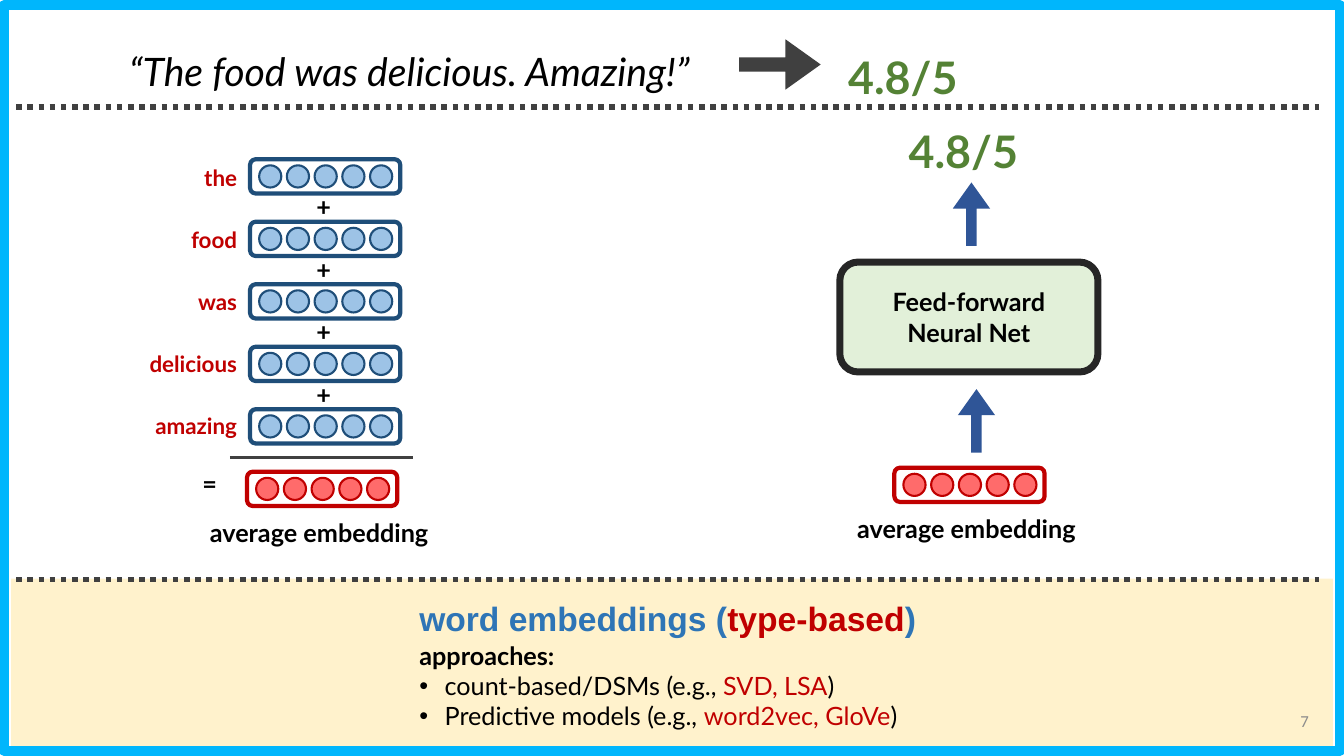
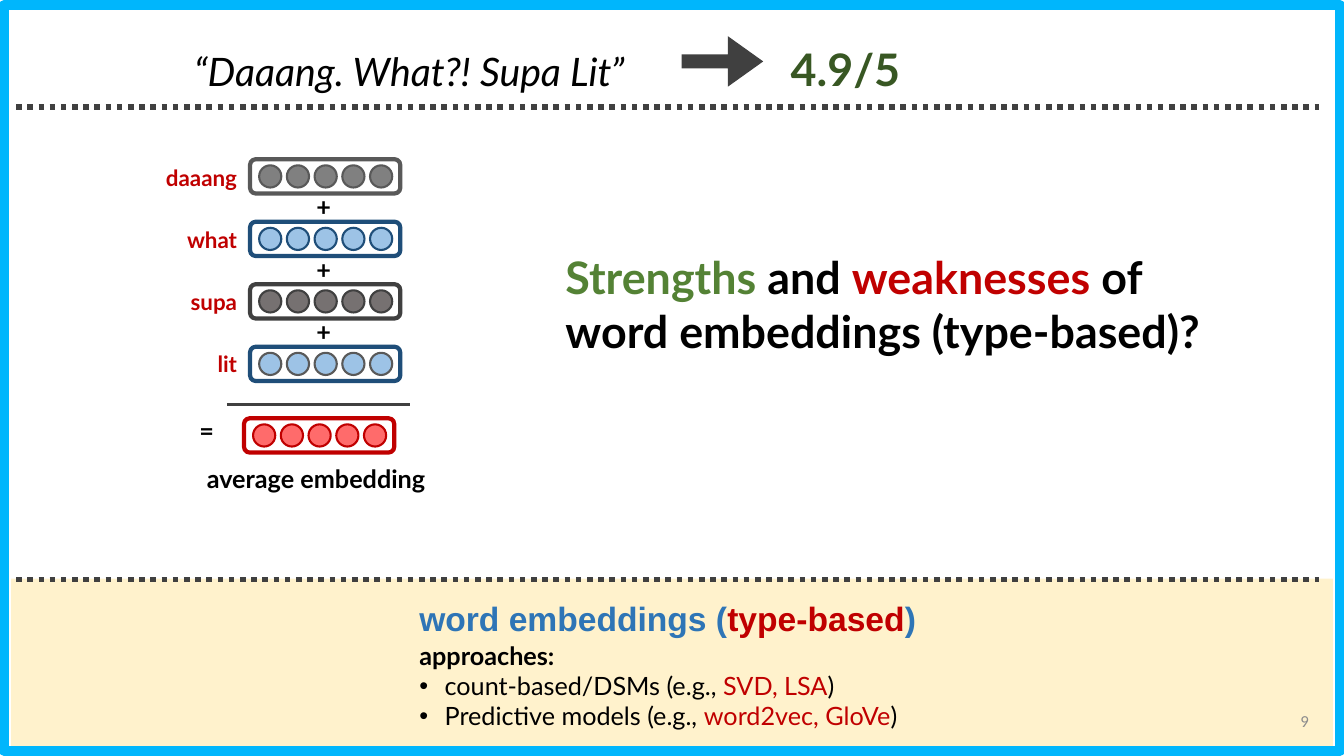
"""Build two slides on type-based word embeddings."""
from dataclasses import dataclass, field
from typing import Any, NamedTuple

from lxml.etree import SubElement as Sub
from pptx import Presentation
from pptx.dml.color import RGBColor as RGB
from pptx.enum.dml import MSO_LINE as Dash
from pptx.enum.shapes import MSO_CONNECTOR as Conn, MSO_SHAPE as Geo
from pptx.enum.text import MSO_ANCHOR as Anchor, MSO_AUTO_SIZE as Fit, PP_ALIGN as Align
from pptx.oxml.ns import qn
from pptx.util import Inches, Pt

WHITE = RGB(0xFF, 0xFF, 0xFF)
BLACK = RGB(0x00, 0x00, 0x00)
CYAN = RGB(0x00, 0xB6, 0xFC)
CREAM = RGB(0xFF, 0xF2, 0xCC)
RED = RGB(0xC0, 0x00, 0x00)
CORAL = RGB(0xFF, 0x6B, 0x6B)
NAVY = RGB(0x1F, 0x4E, 0x79)
SKY = RGB(0x9D, 0xC3, 0xE6)
BLUE = RGB(0x2E, 0x75, 0xB6)
ROYAL = RGB(0x2F, 0x55, 0x97)
GREEN = RGB(0x54, 0x82, 0x35)
FOREST = RGB(0x38, 0x57, 0x23)
MINT = RGB(0xE2, 0xF0, 0xD9)
INK = RGB(0x26, 0x26, 0x26)
DARK = RGB(0x40, 0x40, 0x40)
SLATE = RGB(0x59, 0x59, 0x59)
STONE = RGB(0x76, 0x71, 0x71)
GRAY = RGB(0x80, 0x80, 0x80)
PALE = RGB(0x8C, 0x8C, 0x8C)

Box = tuple[float, float, float, float]
Spot = tuple[float, float]
Style = dict[str, Any]


class Run(NamedTuple):
    text: str
    color: RGB = BLACK


class Tone(NamedTuple):
    fill: RGB
    edge: RGB
    frame: RGB


class Word(NamedTuple):
    text: str
    tone: Tone


@dataclass
class Para:
    runs: list[Run]
    font: Style
    form: Style = field(default_factory=dict)
    bullet: bool = False


@dataclass
class Review:
    quote: str
    page: str
    score: Run
    mark: Spot
    arrow: Spot
    words: list[Word]
    shift: Spot


KNOWN = Tone(SKY, NAVY, NAVY)
MEAN = Tone(CORAL, RED, RED)

BOLD: Style = {"name": "Lato", "size": Pt(18), "bold": True}
PLAIN: Style = BOLD | {"bold": False}
LABEL: Style = BOLD | {"size": Pt(16)}
BIG: Style = BOLD | {"size": Pt(32)}
QUOTE: Style = {"name": "Lato", "size": Pt(28), "bold": False, "italic": True}
HEAD: Style = {"name": "Arial", "size": Pt(24), "bold": True}
PAGE: Style = {"name": "Calibri", "size": Pt(12)}

MID: Style = {"alignment": Align.CENTER}
RIGHT: Style = {"alignment": Align.RIGHT}
LOOSE: Style = MID | {"line_spacing": 1.5, "space_before": Pt(10)}
TIGHT: Style = {"space_before": Pt(0)}

TOP, PITCH = 1.58, 0.62
REVIEWS = [
    Review("“The food was delicious. Amazing!”", "7", Run("4.8/5", GREEN), (8.01, 0.18), (7.33, 0.39),
           [Word(t, KNOWN) for t in ("the", "food", "was", "delicious", "amazing")], (0, 0)),
    Review("“Daaang. What?! Supa Lit”", "9", Run("4.9/5", FOREST), (7.44, 0.1), (6.76, 0.36),
           [Word("daaang", Tone(GRAY, SLATE, SLATE)), Word("what", KNOWN),
            Word("supa", Tone(STONE, DARK, DARK)), Word("lit", Tone(SKY, SLATE, NAVY))],
           (-0.03, -0.53)),
]


def apply(item: Any, style: Style) -> None:
    """Set every attribute named in the style."""
    for key, val in style.items():
        setattr(item, key, val)


def write(shape: Any, paras: list[Para], **style: Any) -> None:
    """Fill a shape with formatted paragraphs."""
    frame = shape.text_frame
    apply(frame, {"word_wrap": True, "auto_size": Fit.NONE, "vertical_anchor": Anchor.TOP} | style)
    for num, para in enumerate(paras):
        line = frame.add_paragraph() if num else frame.paragraphs[0]
        apply(line, para.form)
        if shape.is_placeholder:
            props = line._p.get_or_add_pPr()
            pad = Inches(0.25) if para.bullet else 0
            props.set("marL", str(pad))
            props.set("indent", str(-pad))
            if para.bullet:
                Sub(props, qn("a:buChar")).set("char", "•")
            else:
                Sub(props, qn("a:buNone"))
        for part in para.runs:
            run = line.add_run()
            run.text = part.text
            apply(run.font, para.font)
            run.font.color.rgb = part.color


def place(shape: Any, box: Box) -> None:
    """Move a shape to a box in inches."""
    apply(shape, dict(zip(("left", "top", "width", "height"), map(Inches, box))))


def text(slide: Any, box: Box, paras: list[Para], **style: Any) -> None:
    """Add a text box."""
    write(slide.shapes.add_textbox(*map(Inches, box)), paras, **style)


def form(shapes: Any, geo: Geo, box: Box, fill: RGB | None, edge: RGB | None = None, width: float = 0) -> Any:
    """Add a flat preset shape."""
    shape = shapes.add_shape(geo, *map(Inches, box))
    shape.shadow.inherit = False
    if fill is None:
        shape.fill.background()
    else:
        shape.fill.solid()
        shape.fill.fore_color.rgb = fill
    if edge is None:
        shape.line.fill.background()
    else:
        shape.line.color.rgb = edge
        shape.line.width = Pt(width)
    return shape


def rule(slide: Any, left: float, right: float, top: float, width: float, dash: Dash | None = None) -> None:
    """Add a level dark line."""
    line = slide.shapes.add_connector(Conn.STRAIGHT, *map(Inches, (left, top, right, top)))
    line.line.color.rgb = DARK
    apply(line.line, {"width": Pt(width), "dash_style": dash})
    Sub(line.element.spPr, qn("a:effectLst"))


def arrow(slide: Any, box: Box, fill: RGB, turn: int = 0) -> None:
    """Add a block arrow."""
    shape = form(slide.shapes, Geo.RIGHT_ARROW, box, fill)
    shape.rotation = turn
    for num, val in enumerate((0.28, 0.7)):
        shape.adjustments[num] = val


def vector(slide: Any, left: float, top: float, tone: Tone) -> None:
    """Add a grouped frame of five dots."""
    group = slide.shapes.add_group_shape().shapes
    form(group, Geo.ROUNDED_RECTANGLE, (left, top, 1.49, 0.34), None, tone.frame, 3)
    for num in range(5):
        box = (left + 0.09 + 1.1 * num / 4, top + 0.06, 0.22, 0.22)
        form(group, Geo.OVAL, box, tone.fill, tone.edge, 1.5)


def sign(slide: Any, left: float, top: float, mark: str) -> None:
    """Add a plus or equals sign."""
    text(slide, (left, top, 0.37, 0.4), [Para([Run(mark)], BOLD)], word_wrap=False)


def mean(slide: Any, left: float, top: float) -> None:
    """Add the average vector with its caption."""
    vector(slide, left, top, MEAN)
    caption = Para([Run("average embedding")], BOLD, MID)
    text(slide, (left - 0.66, top + 0.4, 2.75, 0.4), [caption])


def score(slide: Any, spot: Spot, run: Run) -> None:
    """Add a rating."""
    text(slide, (*spot, 1.89, 0.76), [Para([run], BIG, LOOSE)])


def stack(slide: Any, review: Review) -> None:
    """Add the word vectors and their average."""
    for num, word in enumerate(review.words):
        top = TOP + PITCH * num
        vector(slide, 2.48, top, word.tone)
        if num:
            sign(slide, 3.04, top - 0.35, "+")
    names = [Para([Run(w.text, RED)], LABEL, RIGHT | {"space_before": Pt(25)}) for w in review.words]
    text(slide, (1.13, TOP, 1.32, 3.08), names)
    dx, dy = review.shift
    sign(slide, 1.91 + dx, 4.6 + dy, "=")
    rule(slide, 2.28 + dx, 4.1 + dx, 4.54 + dy, 2.25)
    mean(slide, 2.45 + dx, 4.68 + dy)


def common(slide: Any, master: Any) -> None:
    """Draw the frame, band and dotted rules onto the master."""
    form(slide.shapes, Geo.RECTANGLE, (0.04, 0.05, 13.25, 7.4), WHITE, CYAN, 7)
    form(slide.shapes, Geo.RECTANGLE, (0.11, 5.74, 13.11, 1.66), CREAM)
    for top in (1.06, 5.75):
        rule(slide, 0.16, 13.08, top, 4, Dash.ROUND_DOT)
    tree = master.shapes.element
    drawn = [s.element for s in slide.shapes if not s.is_placeholder]
    for num, item in enumerate(drawn):
        item.find(".//" + qn("p:cNvPr")).set("id", str(50 + num))
        tree.insert(2 + num, item)


def base(slide: Any, review: Review) -> None:
    """Fill the parts that every slide has."""
    title, body = slide.shapes.title, slide.placeholders[1]
    place(title, (0.71, 0.19, 6.7, 0.99))
    write(title, [Para([Run(review.quote)], QUOTE, LOOSE)])
    place(body, (4.06, 6.3, 5.22, 1.04))
    items = (("count-based/DSMs (e.g., ", "SVD, LSA"), ("Predictive models (e.g., ", "word2vec, GloVe"))
    write(body, [Para([Run("approaches:")], BOLD, TIGHT)] + [
        Para([Run(lead), Run(names, RED), Run(")")], PLAIN, TIGHT, True) for lead, names in items])
    head = [Run("word embeddings (", BLUE), Run("type-based", RED), Run(")", BLUE)]
    text(slide, (4.06, 5.88, 6.52, 0.63), [Para(head, HEAD, {"space_before": Pt(5)})])
    text(slide, (10.08, 6.95, 3, 0.4), [Para([Run(review.page, PALE)], PAGE, RIGHT)],
         vertical_anchor=Anchor.MIDDLE)
    arrow(slide, (*review.arrow, 0.81, 0.5), DARK)
    score(slide, review.mark, review.score)
    stack(slide, review)


def network(slide: Any, result: Run) -> None:
    """Add the path from average embedding to rating."""
    mean(slide, 8.87, 4.64)
    for left, top in ((9.37, 3.99), (9.32, 1.94)):
        arrow(slide, (left, top, 0.63, 0.37), ROYAL, 270)
    net = form(slide.shapes, Geo.ROUNDED_RECTANGLE, (8.33, 2.6, 2.56, 1.09), MINT, INK, 5)
    write(net, [Para([Run(t)], BOLD, MID) for t in ("Feed-forward", "Neural Net")],
          vertical_anchor=Anchor.MIDDLE)
    score(slide, (8.61, 0.91), result)


def ask(slide: Any) -> None:
    """Add the closing question."""
    runs = [Run("Strengths ", GREEN), Run("and "), Run("weaknesses", RED),
            Run(" of word embeddings (type-based)?")]
    text(slide, (5.51, 2.43, 6.7, 0.99), [Para(runs, BIG, {"space_before": Pt(20)})])


def main() -> None:
    """Build and save the slides."""
    deck = Presentation()
    apply(deck, {"slide_width": Inches(13.33), "slide_height": Inches(7.5)})
    first, second = (deck.slides.add_slide(deck.slide_layouts[1]) for _ in REVIEWS)
    common(first, deck.slide_master)
    for slide, review in zip((first, second), REVIEWS):
        base(slide, review)
    network(first, REVIEWS[0].score)
    ask(second)
    deck.save("out.pptx")


if __name__ == "__main__":
    main()
